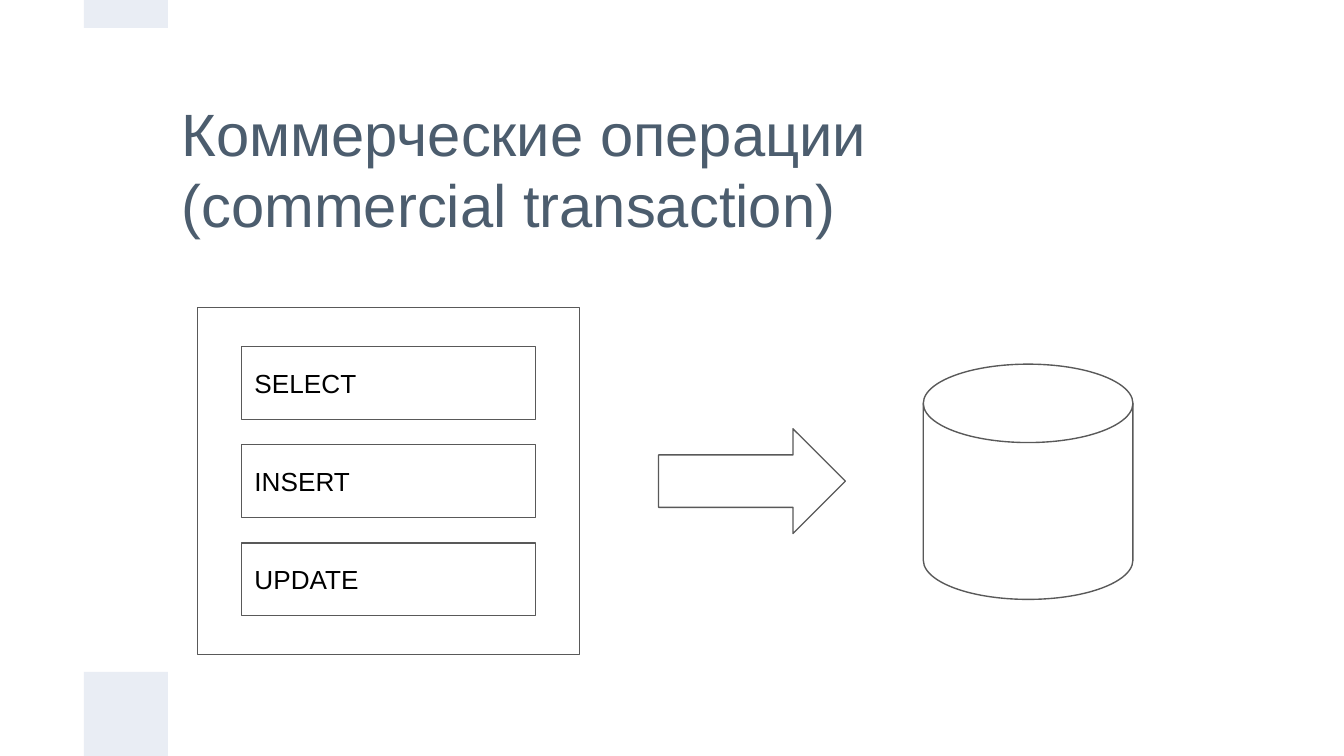
from pptx import Presentation
from pptx.dml.color import RGBColor
from pptx.enum.shapes import MSO_SHAPE
from pptx.enum.text import MSO_ANCHOR, MSO_AUTO_SIZE, PP_ALIGN
from pptx.util import Inches, Pt

RECTANGLE = MSO_SHAPE.RECTANGLE
ARROW = MSO_SHAPE.RIGHT_ARROW
DISK = MSO_SHAPE.FLOWCHART_MAGNETIC_DISK
MIDDLE = MSO_ANCHOR.MIDDLE
LEFT = PP_ALIGN.LEFT
NO_AUTOFIT = MSO_AUTO_SIZE.NONE

SLATE = RGBColor(0x4C, 0x5D, 0x6E)
PALE_BLUE = RGBColor(0xE9, 0xED, 0xF4)
GRAY = RGBColor(0x59, 0x59, 0x59)
BLACK = RGBColor(0x00, 0x00, 0x00)

SLIDE_WIDTH = 10
SLIDE_HEIGHT = SLIDE_WIDTH * 9 / 16
UNIT = SLIDE_WIDTH / 16

TITLE = "Коммерческие операции (commercial transaction)"
TITLE_BOX = (2 * UNIT, UNIT, 12 * UNIT, 2 * UNIT)
STATEMENTS = ["SELECT", "INSERT", "UPDATE"]
ACCENTS = [(UNIT, SLIDE_HEIGHT - UNIT, UNIT, UNIT), (UNIT, 0, UNIT, UNIT / 3)]
TRANSACTION = (1.47, 2.29, 2.84, 2.58)
FLOW = (4.9, 3.19, 1.39, 0.78)
DATABASE = (6.87, 2.71, 1.56, 1.75)
STATEMENT_SIZE = (2.19, 0.54)
STATEMENT_STEP = 0.73


def write(shape, text, size, color):
    frame = shape.text_frame
    frame.text = text
    frame.word_wrap = True
    frame.auto_size = NO_AUTOFIT
    frame.vertical_anchor = MIDDLE
    frame.margin_left = frame.margin_right = Inches(0.1)
    frame.margin_top = frame.margin_bottom = Inches(0.1)
    paragraph = frame.paragraphs[0]
    paragraph.alignment = LEFT
    font = paragraph.runs[0].font
    font.name = "Arial"
    font.size = Pt(size)
    font.color.rgb = color


def add_shape(slide, kind, box):
    shape = slide.shapes.add_shape(kind, *map(Inches, box))
    shape.shadow.inherit = False
    return shape


def add_accent(slide, box):
    accent = add_shape(slide, RECTANGLE, box)
    accent.fill.solid()
    accent.fill.fore_color.rgb = PALE_BLUE
    accent.line.fill.background()


def add_outline(slide, kind, box):
    outline = add_shape(slide, kind, box)
    outline.fill.background()
    outline.line.color.rgb = GRAY
    outline.line.width = Pt(0.75)
    return outline


def main():
    deck = Presentation()
    deck.slide_width = Inches(SLIDE_WIDTH)
    deck.slide_height = Inches(SLIDE_HEIGHT)
    slide = deck.slides.add_slide(deck.slide_layouts[5])

    title = slide.shapes.title
    title.left, title.top, title.width, title.height = map(Inches, TITLE_BOX)
    write(title, TITLE, 32, SLATE)

    for box in ACCENTS:
        add_accent(slide, box)

    add_outline(slide, DISK, DATABASE)
    add_outline(slide, RECTANGLE, TRANSACTION)

    left, top, width, height = TRANSACTION
    statement_width, statement_height = STATEMENT_SIZE
    stack_height = STATEMENT_STEP * (len(STATEMENTS) - 1) + statement_height
    first_left = left + (width - statement_width) / 2
    first_top = top + (height - stack_height) / 2
    for index, statement in enumerate(STATEMENTS):
        box = (first_left, first_top + index * STATEMENT_STEP, *STATEMENT_SIZE)
        write(add_outline(slide, RECTANGLE, box), statement, 14, BLACK)

    add_outline(slide, ARROW, FLOW)
    deck.save("out.pptx")


if __name__ == "__main__":
    main()
